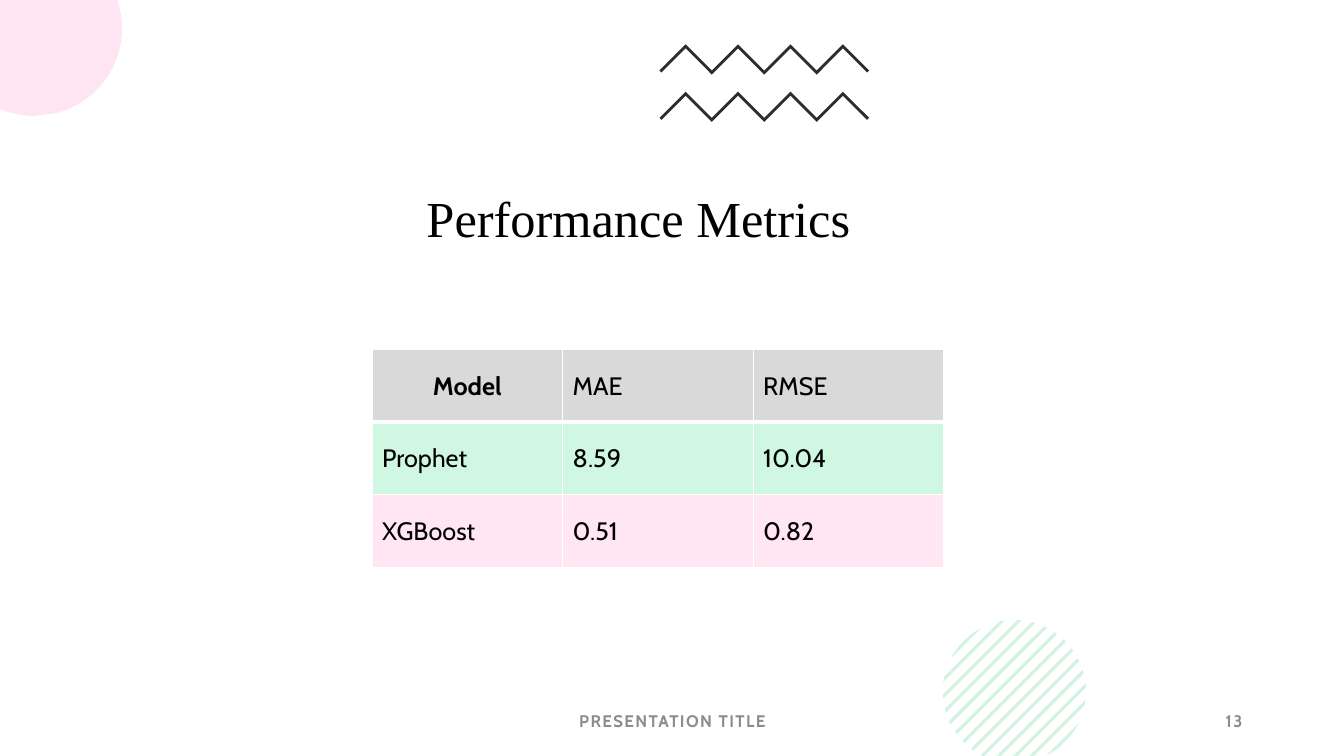
from math import sqrt

from lxml import etree
from pptx import Presentation
from pptx.dml.color import RGBColor
from pptx.enum.text import MSO_ANCHOR, PP_ALIGN
from pptx.oxml.ns import qn
from pptx.util import Pt

EMU_PER_PX = 9144  # 100 px to the inch
SLIDE_WIDTH, SLIDE_HEIGHT = 1333, 750
LEFT, CENTER, RIGHT = PP_ALIGN.LEFT, PP_ALIGN.CENTER, PP_ALIGN.RIGHT
TOP, MIDDLE = MSO_ANCHOR.TOP, MSO_ANCHOR.MIDDLE
TITLE_FONT, BODY_FONT = "Times New Roman", "Cabin"
BLACK, WHITE, GRAY, DARK = "000000", "FFFFFF", "8C8C8C", "2D2D2D"
PINK, GREEN = "FF80BD", "21C46B"

METRICS = [
    ("D9D9D9", ["Model", "MAE", "RMSE"]),
    ("CFF7E1", ["Prophet", "8.59", "10.04"]),
    ("FFE6F2", ["XGBoost", "0.51", "0.82"]),
]


def px(value):
    return round(value * EMU_PER_PX)


def rgb(hex_color):
    return RGBColor.from_string(hex_color)


def format_text(text_frame, size, font_name, color, bold=False, align=LEFT):
    paragraph = text_frame.paragraphs[0]
    paragraph.alignment = align
    for run in paragraph.runs:
        font = run.font
        font.size, font.name, font.bold = Pt(size), font_name, bold
        font.color.rgb = rgb(color)


def add_polygon(slide, points, color, opacity=100):
    points = [(px(x), px(y)) for x, y in points]
    builder = slide.shapes.build_freeform(*points[0], scale=1.0)
    builder.add_line_segments(points[1:], close=True)
    shape = builder.convert_to_shape()
    shape.shadow.inherit = False
    shape.line.fill.background()
    shape.fill.solid()
    shape.fill.fore_color.rgb = rgb(color)
    if opacity < 100:
        color_element = shape.fill._xPr.find(qn("a:solidFill"))[0]
        alpha = etree.SubElement(color_element, qn("a:alpha"))
        alpha.set("val", str(opacity * 1000))


def add_zigzag(slide, left, top, teeth=4, step=26, thickness=4):
    upper = [(left + step * i, top + (0 if i % 2 else step))
             for i in range(2 * teeth + 1)]
    lower = [(x, y + thickness) for x, y in upper[1:-1]]
    half = thickness / 2
    first = (upper[0][0] + half, upper[0][1] + half)
    last = (upper[-1][0] - half, upper[-1][1] + half)
    add_polygon(slide, upper + [last] + lower[::-1] + [first], DARK)


def add_corner_circle(slide, center_x, center_y, radius):
    """Draw the part of a circle that lies inside the top left corner."""
    right_x = center_x + sqrt(radius ** 2 - center_y ** 2)
    left_y = center_y + sqrt(radius ** 2 - center_x ** 2)
    arc = []
    for i in range(61):
        y = center_y + radius * (i / 30 - 1)
        if y >= 0:
            arc.append((center_x + sqrt(max(0, radius ** 2 - (y - center_y) ** 2)), y))
    for i in range(1, 31):
        x = center_x * (1 - i / 30)
        arc.append((x, center_y + sqrt(radius ** 2 - (x - center_x) ** 2)))
    arc[-1] = (0, left_y)
    add_polygon(slide, [(0, 0), (right_x, 0)] + arc, PINK, 20)


def add_striped_circle(slide, center_x, center_y, radius, count=13,
                       pitch=16.3, thickness=4.5, samples=6):
    """Fill a circle with rising diagonal stripes, cut at the slide's bottom."""
    first = -radius * sqrt(2)
    for stripe in range(count):
        right_ends, left_ends = [], []
        for i in range(samples):
            total = first + stripe * pitch + thickness * i / (samples - 1)
            distance = total / sqrt(2)
            half_chord = sqrt(max(0, radius ** 2 - distance ** 2))
            for ends, sign in ((right_ends, 1), (left_ends, -1)):
                y = center_y + (distance - sign * half_chord) / sqrt(2)
                y = min(y, SLIDE_HEIGHT)
                ends.append((center_x + center_y + total - y, y))
        add_polygon(slide, right_ends + left_ends[::-1], GREEN, 20)


def add_title(slide, left, top, width, height):
    title = slide.shapes.title
    title.left, title.top = px(left), px(top)
    title.width, title.height = px(width), px(height)
    text_frame = title.text_frame
    text_frame.text = "Performance Metrics"
    text_frame.vertical_anchor = TOP
    text_frame.paragraphs[0].line_spacing = 0.9
    format_text(text_frame, 36, TITLE_FONT, BLACK)


def add_footer_text(slide, text, left, top, width, height, align):
    box = slide.shapes.add_textbox(px(left), px(top), px(width), px(height))
    text_frame = box.text_frame
    text_frame.word_wrap = True
    text_frame.vertical_anchor = MIDDLE
    text_frame.text = text
    format_text(text_frame, 12, BODY_FONT, GRAY, True, align)
    text_frame.paragraphs[0].runs[0].font._element.set("spc", "100")


def set_borders(cell, widths):
    """Set white borders from widths in points: left, right, top, bottom."""
    properties = cell._tc.get_or_add_tcPr()
    for index, (side, width) in enumerate(zip("LRTB", widths)):
        line = etree.Element(qn(f"a:ln{side}"), w=str(Pt(width)))
        fill = etree.SubElement(line, qn("a:solidFill"))
        etree.SubElement(fill, qn("a:srgbClr"), val=WHITE)
        properties.insert(index, line)


def add_metrics_table(slide, left, top, column_width, row_height):
    rows, columns = len(METRICS), len(METRICS[0][1])
    table = slide.shapes.add_table(
        rows, columns, px(left), px(top),
        px(column_width * columns), px(row_height * rows)).table
    table.first_row = table.horz_banding = False
    for row, (fill, values) in enumerate(METRICS):
        for column, value in enumerate(values):
            cell = table.cell(row, column)
            cell.text = value
            cell.vertical_anchor = MIDDLE
            cell.fill.solid()
            cell.fill.fore_color.rgb = rgb(fill)
            is_corner = row == column == 0
            format_text(cell.text_frame, 18, BODY_FONT, BLACK, is_corner,
                        CENTER if is_corner else LEFT)
            set_borders(cell, (1, 1, 3 if row == 1 else 1, 3 if row == 0 else 1))


def main():
    presentation = Presentation()
    presentation.slide_width = px(SLIDE_WIDTH)
    presentation.slide_height = px(SLIDE_HEIGHT)
    slide = presentation.slides.add_slide(presentation.slide_layouts[5])
    for top in (44, 91):
        add_zigzag(slide, 654, top)
    add_striped_circle(slide, 1006, 686, 71)
    add_corner_circle(slide, 34, 28, 87)
    add_title(slide, 413, 187, 454, 79)
    add_footer_text(slide, "PRESENTATION TITLE", 442, 695, 450, 40, CENTER)
    add_footer_text(slide, "13", 942, 695, 300, 40, RIGHT)
    add_metrics_table(slide, 369, 347, 189, 72)
    presentation.save("out.pptx")


if __name__ == "__main__":
    main()
